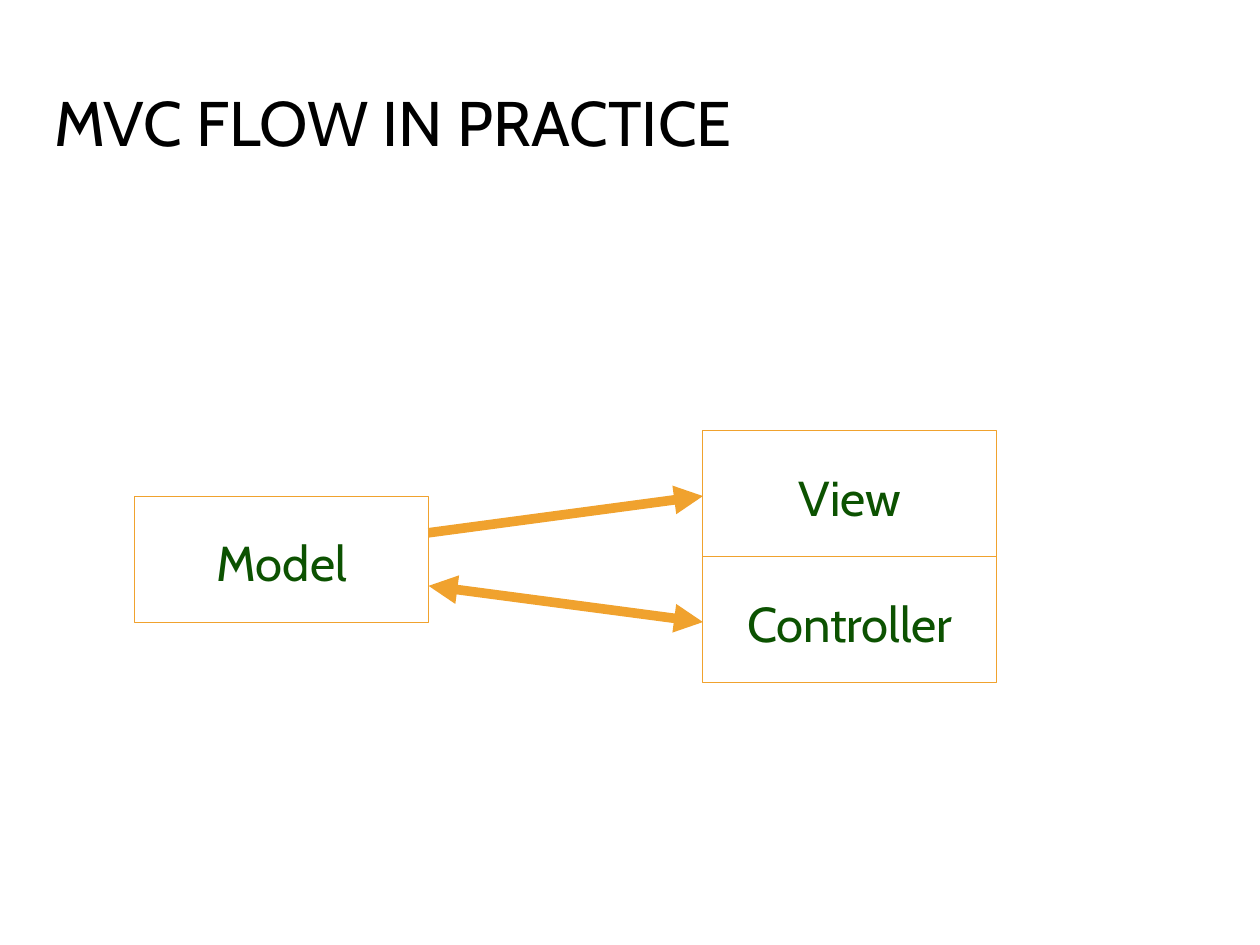
from dataclasses import dataclass

import pptx
import pptx.dml.color
import pptx.enum.shapes
import pptx.enum.text
import pptx.oxml.xmlchemy
import pptx.util

COLORS = {"title": "000000", "label": "0C5201", "box": "FFFFFF", "accent": "F0A22E"}
FONT = "Cabin"
BOX_W, BOX_H = 5.92, 2.54
LABEL_DY, LABEL_H = 0.61, 1.42
PORT_DY = 1.32  # where arrows meet the View and Controller boxes


@dataclass
class Box:
    text: str
    left: float
    top: float


@dataclass
class Arrow:
    start: tuple[float, float]
    end: tuple[float, float]
    ends: tuple[str, ...]


def rgb(name: str) -> pptx.dml.color.RGBColor:
    return pptx.dml.color.RGBColor.from_string(COLORS[name])


def add_text(shapes, text: str, at: tuple, size: float, color: str, align, anchor) -> None:
    tf = shapes.add_textbox(*map(pptx.util.Cm, at)).text_frame
    for name, value in {"word_wrap": True, "vertical_anchor": anchor}.items():
        setattr(tf, name, value)
    p = tf.paragraphs[0]
    p.alignment = align
    r = p.add_run()
    r.text = text
    for name, value in {"name": FONT, "size": pptx.util.Pt(size)}.items():
        setattr(r.font, name, value)
    r.font.color.rgb = rgb(color)


def set_line(line, width: float) -> None:
    line.color.rgb = rgb("accent")
    line.width = pptx.util.Pt(width)


def add_box(s, box: Box) -> None:
    group = s.shapes.add_group_shape()
    at = (box.left, box.top, BOX_W, BOX_H)
    sp = group.shapes.add_shape(
        pptx.enum.shapes.MSO_SHAPE.RECTANGLE, *map(pptx.util.Cm, at)
    )
    sp.shadow.inherit = False
    sp.fill.solid()
    sp.fill.fore_color.rgb = rgb("box")
    set_line(sp.line, 0.5)
    add_text(group.shapes, box.text, (box.left, box.top + LABEL_DY, BOX_W, LABEL_H), 28,
             "label", pptx.enum.text.PP_ALIGN.CENTER, pptx.enum.text.MSO_ANCHOR.TOP)


def add_arrow(s, arrow: Arrow) -> None:
    sp = s.shapes.add_connector(
        pptx.enum.shapes.MSO_CONNECTOR.STRAIGHT,
        *map(pptx.util.Cm, arrow.start + arrow.end),
    )
    set_line(sp.line, 5.5)
    ln = sp.line._get_or_add_ln()
    for end in arrow.ends:
        head = pptx.oxml.xmlchemy.OxmlElement(f"a:{end}")
        head.set("type", "triangle")
        ln.append(head)
    sp._element.spPr.append(pptx.oxml.xmlchemy.OxmlElement("a:effectLst"))


def main() -> None:
    prs = pptx.Presentation()
    prs.slide_width, prs.slide_height = pptx.util.Cm(25.4), pptx.util.Cm(19.05)
    s = prs.slides.add_slide(prs.slide_layouts[6])

    # Title
    add_text(s.shapes, "MVC FLOW IN PRACTICE", (0.84, 1.27, 24.13, 2.34), 36,
             "title", pptx.enum.text.PP_ALIGN.LEFT, pptx.enum.text.MSO_ANCHOR.MIDDLE)

    # Components: Controller sits directly under View
    model = Box("Model", 2.72, 10.01)
    view = Box("View", 14.17, 8.68)
    controller = Box("Controller", view.left, view.top + BOX_H)
    for box in (model, view, controller):
        add_box(s, box)

    # Flow between the components
    model_right = model.left + BOX_W
    arrows = (
        Arrow((model_right, 10.74), (view.left, view.top + PORT_DY), ("tailEnd",)),
        Arrow((controller.left, controller.top + PORT_DY), (model_right, 11.81),
              ("headEnd", "tailEnd")),
    )
    for arrow in arrows:
        add_arrow(s, arrow)

    prs.save("out.pptx")


if __name__ == "__main__":
    main()
